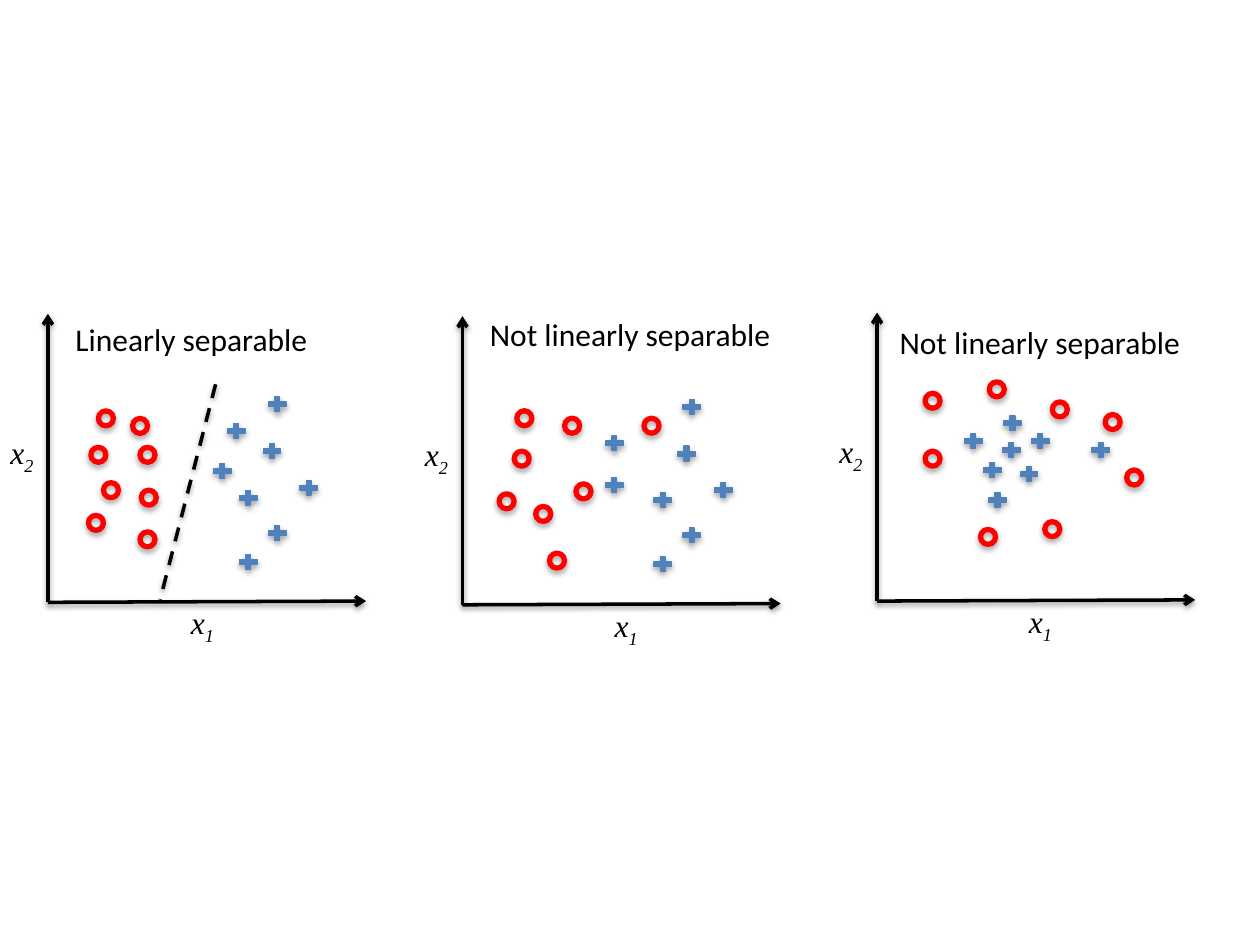
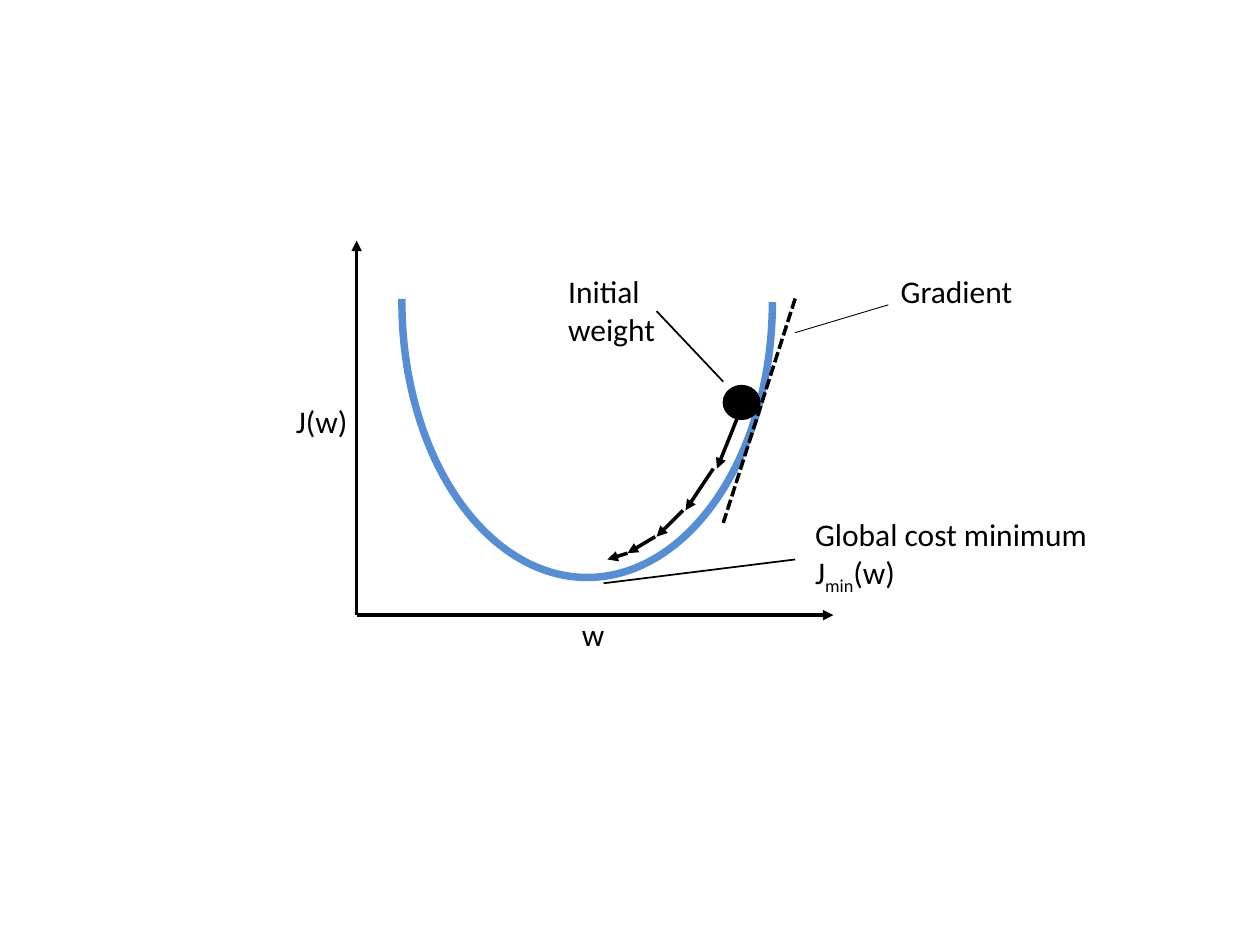
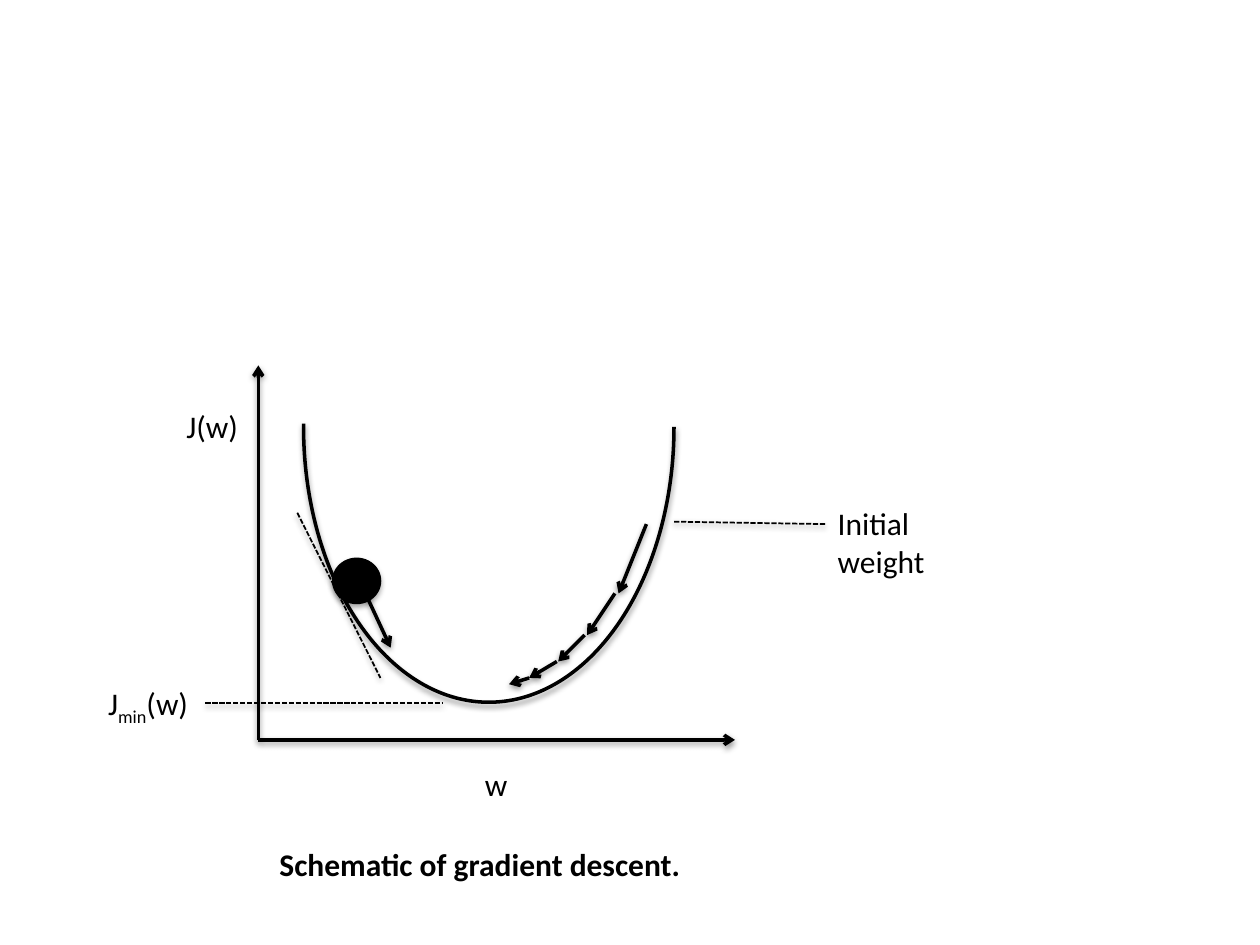
"""Build three slides on linear separability and gradient descent."""
from dataclasses import dataclass

from pptx import Presentation
from pptx.dml.color import RGBColor
from pptx.enum.dml import MSO_LINE
from pptx.enum.shapes import MSO_CONNECTOR, MSO_SHAPE
from pptx.enum.text import MSO_AUTO_SIZE, PP_ALIGN
from pptx.oxml.ns import qn
from pptx.oxml.xmlchemy import OxmlElement
from pptx.util import Pt

STRAIGHT = MSO_CONNECTOR.STRAIGHT
PLUS, OVAL, ARC = MSO_SHAPE.MATH_PLUS, MSO_SHAPE.OVAL, MSO_SHAPE.ARC
LONG_DASH, SHORT_DASH = MSO_LINE.DASH, MSO_LINE.SQUARE_DOT
LEFT, CENTER = PP_ALIGN.LEFT, PP_ALIGN.CENTER
FIT_TEXT = MSO_AUTO_SIZE.SHAPE_TO_FIT_TEXT
BLANK_LAYOUT = 6


@dataclass(frozen=True)
class Theme:
    """Colours, fonts, sizes and shadows shared by all slides."""
    ink: RGBColor = RGBColor(0, 0, 0)
    plus: RGBColor = RGBColor(0x4F, 0x81, 0xBD)
    ring: RGBColor = RGBColor(0xFF, 0, 0)
    curve: RGBColor = RGBColor(0x55, 0x8E, 0xD5)
    sans: str = "Calibri"
    serif: str = "Times New Roman"
    text_size: float = 18
    text_line: float = 29.1
    heavy: float = 2
    fine: float = 1
    hair: float = 0.5
    border: float = 0.75
    ring_line: float = 3
    curve_line: float = 4.25
    shadow_blur: float = 3.15
    line_shadow: tuple = (1.57, 38)
    shape_shadow: tuple = (1.81, 35)


THEME = Theme()


@dataclass(frozen=True)
class Box:
    """A region of a page; parts are placed relative to its top left corner."""
    page: object
    left: float
    top: float
    width: float
    height: float

    def at(self, x, y):
        """Return a point of the region as page lengths."""
        return Pt(self.left + x), Pt(self.top + y)


def apply_format(target, **values):
    """Set each named attribute of the target."""
    for name, value in values.items():
        setattr(target, name, value)


def add_child(parent, tag, **attributes):
    """Append an XML element with the given attributes."""
    child = OxmlElement(tag)
    for name, value in attributes.items():
        child.set(name, str(value))
    parent.append(child)
    return child


def set_shadow(shape, shadow):
    """Give a shape a downward shadow of (distance, opacity), or none."""
    properties = shape._element.spPr
    for old in properties.findall(qn("a:effectLst")):
        properties.remove(old)
    effects = add_child(properties, "a:effectLst")
    if shadow:
        distance, opacity = shadow
        outer = add_child(effects, "a:outerShdw", blurRad=Pt(THEME.shadow_blur),
                          dist=Pt(distance), dir=90 * 60000, rotWithShape=0)
        color = add_child(outer, "a:srgbClr", val=THEME.ink)
        add_child(color, "a:alpha", val=opacity * 1000)


def add_line(box, start, end, weight=THEME.heavy, head=None, dash=None, shadow=None):
    """Draw a straight line, with an optional arrowhead at its end."""
    line = box.page.shapes.add_connector(STRAIGHT, *box.at(*start), *box.at(*end))
    line.line.color.rgb = THEME.ink
    apply_format(line.line, width=Pt(weight), dash_style=dash)
    if head:
        add_child(line.line._get_or_add_ln(), "a:tailEnd", type=head)
    set_shadow(line, shadow)


def add_shape(box, kind, place, size, color, weight, filled=False, shadow=None):
    """Draw a preset shape with its top left corner at the given place."""
    shape = box.page.shapes.add_shape(kind, *box.at(*place), *map(Pt, size))
    if filled:
        shape.fill.solid()
        shape.fill.fore_color.rgb = color
    else:
        shape.fill.background()
    shape.line.color.rgb = color
    shape.line.width = Pt(weight)
    set_shadow(shape, shadow)
    return shape


def add_text(box, place, width, *paras, lines=1, align=LEFT, **font):
    """Write paragraphs; text between underscores is subscript."""
    height = THEME.text_line + (lines - 1) * 21.8
    frame = box.page.shapes.add_textbox(*box.at(*place), Pt(width), Pt(height)).text_frame
    apply_format(frame, word_wrap=True, auto_size=FIT_TEXT)
    values = {"name": THEME.sans, "size": Pt(THEME.text_size), **font}
    for index, text in enumerate(paras):
        para = frame.add_paragraph() if index else frame.paragraphs[0]
        para.alignment = align
        for order, part in enumerate(text.split("_")):
            if not part:
                continue
            span = para.add_run()
            span.text = part
            apply_format(span.font, **values)
            span.font.color.rgb = THEME.ink
            if order % 2:
                span._r.get_or_add_rPr().set("baseline", "-25000")


def draw_axes(box, head, shadow, rise=0):
    """Draw both axes from the lower left corner of the box."""
    origin = (0, box.height)
    add_line(box, origin, (0, 0), head=head, shadow=shadow)
    add_line(box, origin, (box.width, box.height - rise), head=head, shadow=shadow)


def draw_marks(box, kind, centers, size, **style):
    """Place one mark on each centre."""
    width, height = size
    for x, y in centers:
        add_shape(box, kind, (x - width / 2, y - height / 2), size,
                  shadow=THEME.shape_shadow, **style)


def draw_scatter(box, caption, caption_place, caption_width, label_span,
                 pluses, rings, boundary=None):
    """Draw one scatter panel with axes, labels and two classes of marks."""
    draw_axes(box, "arrow", THEME.line_shadow, rise=0.7)
    variable = {"name": THEME.serif, "italic": True}
    label_left, label_width = label_span
    add_text(box, (label_left, 162), label_width, "x_1_", align=CENTER, **variable)
    add_text(box, (-28.6, 64.5), 54.7, "x_2_", **variable)
    add_text(box, caption_place, caption_width, caption)
    draw_marks(box, PLUS, pluses, (13.7, 11.5), color=THEME.plus,
               weight=THEME.border, filled=True)
    if boundary:
        add_line(box, *boundary, dash=LONG_DASH, shadow=THEME.line_shadow)
    draw_marks(box, OVAL, rings, (8.6, 8.6), color=THEME.ring, weight=THEME.ring_line)


DESCENT_PATH = [
    ((221.8, 90.7), (205.9, 130.3)),
    ((203.8, 130.3), (187.9, 154.1)),
    ((186.5, 154.1), (171.4, 169.2)),
    ((170.6, 169.2), (154.8, 178.6)),
    ((154.8, 178.6), (143.3, 182.2)),
]


def draw_descent(box, cost_place, weight_place, color, weight, ball_place, ball_size,
                 head, shadow=None, ball_shadow=None):
    """Draw the cost curve with its axes, ball and descent steps."""
    draw_axes(box, head, shadow)
    add_text(box, cost_place, 74.2, "J(w)")
    add_text(box, weight_place, 74.2, "w")
    curve = add_shape(box, ARC, (-25.6, -70.6), (314.6, 211.7), color, weight,
                      shadow=shadow)
    curve.rotation = 90
    curve.adjustments[0], curve.adjustments[1] = 162, 54.637
    add_shape(box, OVAL, ball_place, ball_size, THEME.ink, THEME.border,
              filled=True, shadow=ball_shadow)
    for start, end in DESCENT_PATH:
        add_line(box, start, end, head=head, shadow=shadow)


RIGHT_CLUSTER = [(114.4, 141.8), (149, 99.4), (114.4, 105.1),
                 (128, 78.5), (131, 125.3), (131, 51.8)]

PANELS = [
    dict(caption="Linearly separable", caption_place=(8.6, 0), caption_width=169.2,
         label_span=(-5, 186.5),
         pluses=RIGHT_CLUSTER + [(107.6, 67), (99.7, 90)],
         rings=[(33.1, 59.8), (52.6, 64.1), (28.8, 80.6), (56.9, 80.6),
                (36, 100.8), (57.6, 105.1), (27.4, 119.5), (56.9, 128.9)],
         boundary=((95.8, 40.3), (64.1, 163.4))),
    dict(caption="Not linearly separable", caption_place=(8.6, -4.3), caption_width=199.4,
         label_span=(10.8, 165.6),
         pluses=RIGHT_CLUSTER + [(86.8, 72.7), (86.8, 96.5)],
         rings=[(108, 62.6), (35.3, 58.3), (62.6, 62.6), (33.8, 81.4),
                (46.1, 113), (69.1, 100.1), (25.2, 105.8), (54, 139.7)]),
    dict(caption="Not linearly separable", caption_place=(5.8, 2.2), caption_width=199.4,
         label_span=(13, 160.6),
         pluses=[(65.9, 90), (77.4, 63.4), (127.8, 78.5), (93.2, 73.4),
                 (86.8, 92.2), (55.1, 73.4), (76.7, 78.5), (68.8, 107.3)],
         rings=[(31.7, 50.4), (31.7, 83.5), (68.4, 43.9), (104.4, 55.4),
                (134.6, 62.6), (146.9, 94.3), (100.1, 123.8), (63.4, 128.2)]),
]


def build_separability(page):
    """Lay out the three scatter panels at an equal pitch."""
    for index, (top, panel) in enumerate(zip((179.3, 180.7, 178.6), PANELS)):
        draw_scatter(Box(page, 27.4 + index * 236.9, top, 181.8, 164.9), **panel)


def build_cost_minimum(page):
    """Show the descent to the global cost minimum."""
    box = Box(page, 203.8, 137.5, 272.4, 214)
    draw_descent(box, (-41.8, 88.6), (121.7, 210.2), THEME.curve, THEME.curve_line,
                 (209.5, 82.8), (20.9, 19.4), "triangle")
    add_text(box, (254.9, 153.4), 198.7, "Global cost minimum", "J_min_(w)", lines=2)
    add_text(box, (113.8, 14.4), 74.2, "Initial weight", lines=2)
    add_text(box, (303.8, 14.4), 104.4, "Gradient")
    add_line(box, (250.6, 182.2), (141.1, 195.8), THEME.fine)
    add_line(box, (209.5, 80.6), (171.4, 40.3), THEME.fine)
    add_line(box, (250.6, 52.6), (303.8, 36.7), THEME.hair)
    add_line(box, (250.6, 33.1), (209.5, 161.3), dash=SHORT_DASH)


def build_schematic(page):
    """Show the descent schematic from both sides of the curve."""
    box = Box(page, 147.6, 208.8, 272.4, 214)
    shadow = THEME.line_shadow
    guides = [((-30.2, 193), (105.8, 193)),
              ((22.3, 84.2), (69.8, 178.6)),
              ((237.6, 89.3), (324, 90.7))]
    for start, end in guides:
        add_line(box, start, end, THEME.fine, dash=SHORT_DASH, shadow=shadow)
    draw_descent(box, (-48.2, 20.2), (122.4, 224.6), THEME.ink, THEME.heavy,
                 (42.5, 110.2), (27.4, 25.9), "arrow", shadow, THEME.shape_shadow)
    add_line(box, (61.2, 130.3), (75.6, 161.3), head="arrow", shadow=shadow)
    add_text(box, (-92.9, 178.6), 74.2, "J_min_(w)")
    add_text(box, (324, 75.6), 74.2, "Initial weight", lines=2)
    add_text(box, (5, 270.7), 382.3, "Schematic of gradient descent.", bold=True)


deck = Presentation()
apply_format(deck, slide_width=Pt(720), slide_height=Pt(540))
for build in (build_separability, build_cost_minimum, build_schematic):
    build(deck.slides.add_slide(deck.slide_layouts[BLANK_LAYOUT]))
deck.save("out.pptx")
